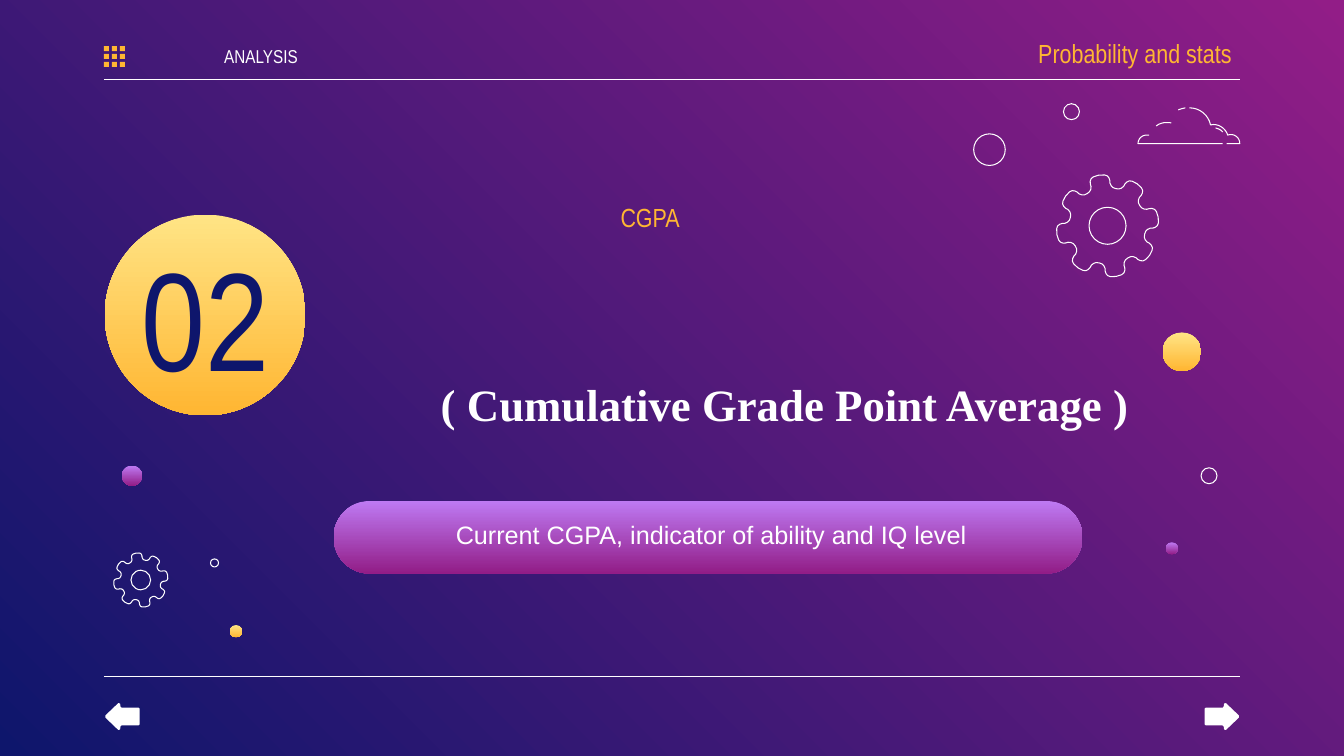
from itertools import product
from math import cos, radians, sin

from lxml.etree import SubElement
from pptx import Presentation
from pptx.dml.color import RGBColor
from pptx.enum.shapes import MSO_CONNECTOR as Link, MSO_SHAPE as Kind
from pptx.enum.text import MSO_ANCHOR as Anchor, PP_ALIGN as Align
from pptx.oxml.ns import qn
from pptx.util import Pt

COLS, ROWS, CELL = 160, 90, 76200
LEFT, RIGHT = 12.38, 147.62
WHITE, AMBER, NAVY = "FFFFFF", "FFB632", "0E166C"
GOLD = ("FFE485", AMBER)
PLUM = ("BE7AF3", "921D87")
NARROW = "Arial Narrow"

BALLS = [
    (24.42, 37.5, 23.9, GOLD),
    (127.56, 13.3, 1.9, None),
    (140.7, 41.88, 4.6, GOLD),
    (15.72, 56.64, 2.4, PLUM),
    (28.1, 75.15, 1.44, GOLD),
    (143.94, 56.64, 1.9, None),
    (117.8, 17.82, 3.76, None),
    (25.54, 67.02, 0.96, None),
    (139.5, 65.28, 1.44, PLUM),
]
CLOUD = [
    [(141.6, 12.84), (142.8, 12.84), (143.88, 13.68), (144.12, 14.88),
     (144.96, 14.64), (145.92, 15.24), (146.16, 16.08),
     (146.88, 15.84), (147.6, 16.32), (147.6, 17.1),
     (147.6, 17.1), (146.04, 17.1), (146.04, 17.1)],
    [(141.12, 12.84), (141.12, 12.84), (140.52, 12.96), (140.28, 13.08)],
    [(145.56, 17.1), (145.56, 17.1), (135.48, 17.1), (135.48, 17.1),
     (135.48, 17.1), (135.48, 15.96), (136.8, 16.08)],
    [(144.72, 15.24), (144.72, 15.24), (145.32, 15.36), (145.56, 15.72)],
    [(139.44, 14.64), (139.44, 14.64), (138.36, 14.4), (137.64, 15)],
]
TOOTH = [(0, 1), (6.5, 0.99), (9.5, 0.97), (11.5, 0.93), (12.7, 0.88),
         (13, 0.83), (15, 0.78), (18, 0.75), (22.5, 0.74)]
BARB = [(0, 0.12), (1.55, 1.6), (1.75, 1.55), (1.8, 1.35), (1.8, 1.2),
        (1.95, 1.05), (3.95, 1.05), (4.08, 0.95)]


def cells(*nums):
    return [round(num * CELL) for num in nums]


def hue(code):
    return RGBColor.from_string(code)


def blend(fill, pair, turn):
    fill.gradient()
    fill.gradient_angle = turn
    for stop, code in zip(fill.gradient_stops, pair):
        stop.color.rgb = hue(code)


def paint(shape, fill=None):
    shape.shadow.inherit = False
    if fill is None:
        shape.fill.background()
        shape.line.color.rgb = hue(WHITE)
        shape.line.width = Pt(0.75)
        return
    shape.line.fill.background()
    if isinstance(fill, tuple):
        blend(shape.fill, fill, 270)
    else:
        shape.fill.solid()
        shape.fill.fore_color.rgb = hue(fill)


def block(slide, kind, box, fill):
    shape = slide.shapes.add_shape(kind, *cells(*box))
    paint(shape, fill)
    return shape


def ball(slide, x, y, size, fill=None):
    block(slide, Kind.OVAL, (x - size / 2, y - size / 2, size, size), fill)


def rule(slide, row):
    ends = cells(LEFT, row, RIGHT, row)
    line = slide.shapes.add_connector(Link.STRAIGHT, *ends)
    line.line.color.rgb = hue(WHITE)
    line.line.width = Pt(0.75)
    SubElement(line._element.spPr, qn("a:effectLst"))


def trace(slide, points, fill=None, close=True):
    spots = [cells(*point) for point in points]
    pen = slide.shapes.build_freeform(*spots[0])
    pen.add_line_segments(spots[1:], close=close)
    paint(pen.convert_to_shape(), fill)


def bend(knots, steps=8):
    points = [knots[0]]
    for start in range(0, len(knots) - 1, 3):
        part = knots[start:start + 4]
        for step in range(1, steps + 1):
            t = step / steps
            mix = ((1 - t) ** 3, 3 * t * (1 - t) ** 2, 3 * t * t * (1 - t), t ** 3)
            points.append([sum(m * v for m, v in zip(mix, axis)) for axis in zip(*part)])
    return points


def gear(slide, x, y, size):
    half = [(-turn, reach) for turn, reach in TOOTH[:0:-1]]
    points = []
    for tooth, (turn, reach) in product(range(8), half + TOOTH[:-1]):
        angle = radians(45 * tooth - 9.7 + turn)
        points.append((x + size * reach * sin(angle), y - size * reach * cos(angle)))
    trace(slide, points)
    ball(slide, x, y, size * 0.72)


def arrow(slide, tip, way):
    top = [(tip - way * dx, 85.3 - dy) for dx, dy in BARB]
    base = [(tip - way * dx, 85.3 + dy) for dx, dy in reversed(BARB)]
    trace(slide, top + base, WHITE)


def style(run, size, code, face=NARROW, bold=False):
    run.font.size = Pt(size)
    run.font.name = face
    run.font.bold = bold
    run.font.color.rgb = hue(code)


def label(slide, box, text, size, code, face=NARROW, align=Align.CENTER,
          anchor=Anchor.MIDDLE, pad=(1.5, 1.5, 1.5, 1.5)):
    frame = slide.shapes.add_textbox(*cells(*box)).text_frame
    frame.word_wrap = True
    frame.vertical_anchor = anchor
    (frame.margin_left, frame.margin_top,
     frame.margin_right, frame.margin_bottom) = cells(*pad)
    para = frame.paragraphs[0]
    para.text = text
    para.alignment = align
    style(para.runs[0], size, code, face)
    return para


def main():
    deck = Presentation()
    deck.slide_width, deck.slide_height = cells(COLS, ROWS)
    slide = deck.slides.add_slide(deck.slide_layouts[6])
    blend(slide.background.fill, ("921D87", NAVY), 225)

    for row in (9.46, 80.5):
        rule(slide, row)
    pill = block(slide, Kind.ROUNDED_RECTANGLE, (39.72, 59.64, 89.16, 8.64), PLUM)
    pill.adjustments[0] = 0.5
    for spot in BALLS:
        ball(slide, *spot)
    for knots in CLOUD:
        trace(slide, bend(knots), close=False)
    gear(slide, 131.85, 26.88, 6.12)
    gear(slide, 16.76, 69.05, 3.25)
    arrow(slide, 147.5, 1)
    arrow(slide, 12.54, -1)
    for col, row in product(range(3), repeat=2):
        dot = (LEFT + 0.94 * col, 5.48 + 0.94 * row, 0.6, 0.6)
        block(slide, Kind.RECTANGLE, dot, AMBER)

    title = label(slide, (47.52, 36.6, 90.12, 15.12), " ", 90.7, AMBER, align=Align.LEFT)
    name = title.add_run()
    name.text = "( Cumulative Grade Point Average )"
    style(name, 32, WHITE, "Times New Roman", True)
    label(slide, (41.52, 60.96, 86.28, 5.28),
          "Current CGPA, indicator of ability and IQ level", 18, WHITE, "Arial")
    label(slide, (12.48, 30.84, 23.88, 13.32), "02", 100, NAVY)
    label(slide, (42.48, 23.4, 69.84, 17.28), "CGPA", 18.7, AMBER,
          anchor=Anchor.TOP, pad=(1.2, 0.6, 1.2, 0.6))
    label(slide, (26.52, 4.8, 9.12, 3.72), "ANALYSIS", 13.3, WHITE,
          pad=(0, 1.5, 0, 1.5))
    label(slide, (119.04, 3.72, 27.6, 5.28), "Probability and stats", 18.7, AMBER,
          align=Align.RIGHT, pad=(1.5, 1.5, 0, 1.5))
    deck.save("out.pptx")


if __name__ == "__main__":
    main()
